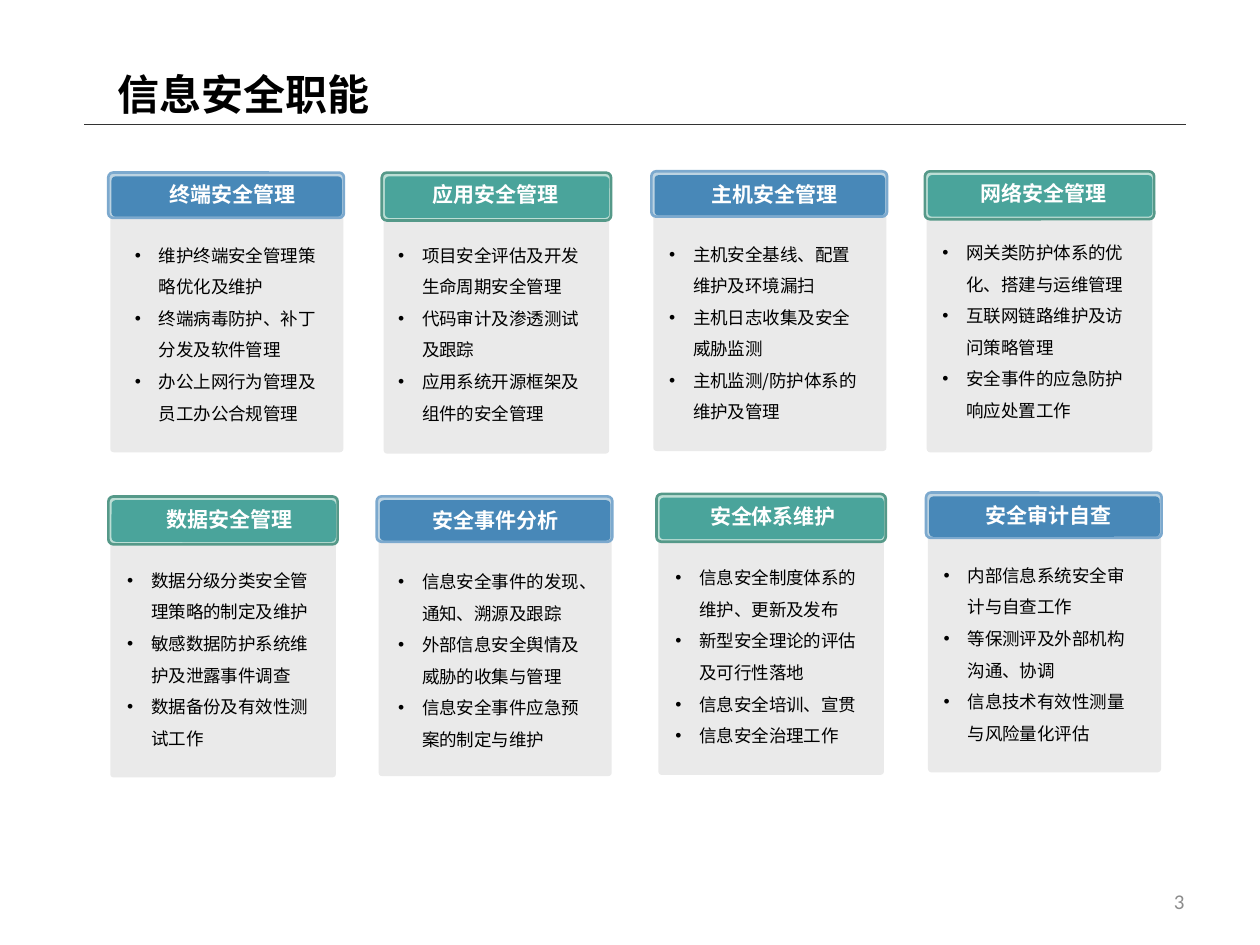
from lxml import etree
from pptx import Presentation, util as u
from pptx.dml.color import RGBColor
from pptx.enum import shapes, text
from pptx.oxml.ns import qn

COLORS = {
    "ink": "000000", "white": "FFFFFF", "rule": "333333", "number": "8C8C8C", "panel": "EAEAEA",
    "blue": "4888B8", "blue_rim": "BCD3E2", "blue_edge": "7CA9CE",
    "green": "4AA49B", "green_rim": "BCDED5", "green_edge": "559989",
}
SIZES = {
    "blue": {"panel": (18.5, 18.8), "rim": (18.7, 3.6), "face": (18.3, 3.2)},
    "green": {"panel": (17.9, 18.9), "rim": (18.2, 3.8), "face": (17.8, 3.3)},
}
COLUMNS, ROWS = 100, 75
HEAD_FONT = "Noto Sans CJK SC"


class Deck:
    def __init__(self):
        self.prs = Presentation()
        self.prs.slide_width, self.prs.slide_height = u.Inches(10), u.Inches(7.5)
        self.s = self.prs.slides.add_slide(self.prs.slide_layouts[5])

    def box(self, x, y, w, h):
        col, row = self.prs.slide_width / COLUMNS, self.prs.slide_height / ROWS
        return [u.Emu(round(n * unit)) for n, unit in ((x, col), (y, row), (w, col), (h, row))]

    def color(self, name):
        return RGBColor.from_string(COLORS[name])

    def run(self, p, words, size, color, bold=False, font=HEAD_FONT):
        r = p.add_run()
        r.text = words
        r.font.size, r.font.bold, r.font.name = u.Pt(size), bold, font
        r.font.color.rgb = self.color(color)
        etree.SubElement(r.font._element, qn("a:ea"), typeface=font)

    def frame(self, sp, anchor, insets=None):
        tf = sp.text_frame
        tf.word_wrap = True
        tf.auto_size = text.MSO_AUTO_SIZE.NONE
        tf.vertical_anchor = anchor
        if insets:
            tf.margin_left, tf.margin_top, tf.margin_right, tf.margin_bottom = map(u.Inches, insets)
        return tf

    def title(self, words, place):
        sp = self.s.shapes.title
        sp.left, sp.top, sp.width, sp.height = self.box(*place)
        p = self.frame(sp, text.MSO_ANCHOR.MIDDLE).paragraphs[0]
        p.alignment = text.PP_ALIGN.LEFT
        self.run(p, words, 24, "ink", True)

    def line(self, x1, y1, x2, y2):
        begin, end = self.box(x1, y1, 0, 0), self.box(x2, y2, 0, 0)
        c = self.s.shapes.add_connector(shapes.MSO_CONNECTOR.STRAIGHT, *begin[:2], *end[:2])
        c.line.color.rgb, c.line.width = self.color("rule"), u.Pt(0.75)
        etree.SubElement(c._element.spPr, qn("a:effectLst"))

    def rounded(self, place, radius, fill, edge=None):
        sp = self.s.shapes.add_shape(shapes.MSO_SHAPE.ROUNDED_RECTANGLE, *self.box(*place))
        sp.adjustments[0] = radius
        sp.shadow.inherit = False
        sp.fill.solid()
        sp.fill.fore_color.rgb = self.color(fill)
        if edge:
            sp.line.color.rgb, sp.line.width = self.color(edge), u.Pt(1.5)
        else:
            sp.line.fill.background()

    def label(self, words, place, size, color, align, bold=False, font=HEAD_FONT, insets=None):
        sp = self.s.shapes.add_textbox(*self.box(*place))
        p = self.frame(sp, text.MSO_ANCHOR.MIDDLE, insets).paragraphs[0]
        p.alignment = align
        self.run(p, words, size, color, bold, font)

    def bullets(self, items, place):
        sp = self.s.shapes.add_textbox(*self.box(*place))
        tf = self.frame(sp, text.MSO_ANCHOR.TOP, (0.06, 0.06, 0.06, 0.05))
        for i, item in enumerate(items):
            p = tf.add_paragraph() if i else tf.paragraphs[0]
            p.line_spacing = 1.5
            pPr = p._p.get_or_add_pPr()
            pPr.set("marL", str(u.Inches(0.19)))
            pPr.set("indent", str(-u.Inches(0.19)))
            etree.SubElement(pPr, qn("a:buFont"), typeface="Arial")
            etree.SubElement(pPr, qn("a:buChar"), char="•")
            self.run(p, item, 10, "ink")

    def card(self, tone, x, y, heading, center, drop, items, list_x, list_y):
        size = SIZES[tone]
        self.rounded((x + 0.15, y + 3.4, *size["panel"]), 0.015, "panel")
        self.rounded((x, y, *size["rim"]), 0.106, tone + "_rim", tone + "_edge")
        self.rounded((x + 0.25, y + 0.3, *size["face"]), 0.1, tone)
        self.label(heading, (center - 6.95, y + drop, 13.9, 2), 12, "white",
                   text.PP_ALIGN.CENTER, True, insets=(0, 0, 0, 0))
        self.bullets(items, (list_x, list_y, 16.5, 16.4))


CARDS = [
    ("blue", 8.6, 13.7, "终端安全管理", 18.45, 0.7,
     ["维护终端安全管理策略优化及维护", "终端病毒防护、补丁分发及软件管理", "办公上网行为管理及员工办公合规管理"], 10.1, 18),
    ("green", 30.3, 13.7, "应用安全管理", 39.35, 0.7,
     ["项目安全评估及开发生命周期安全管理", "代码审计及渗透测试及跟踪", "应用系统开源框架及组件的安全管理"], 31, 18),
    ("blue", 51.7, 13.6, "主机安全管理", 61.45, 0.8,
     ["主机安全基线、配置维护及环境漏扫", "主机日志收集及安全威胁监测", "主机监测/防护体系的维护及管理"], 52.5, 17.9),
    ("green", 73.4, 13.6, "网络安全管理", 82.8, 0.7,
     ["网关类防护体系的优化、搭建与运维管理", "互联网链路维护及访问策略管理", "安全事件的应急防护响应处置工作"], 74.2, 17.8),
    ("green", 8.6, 39.4, "数据安全管理", 18.25, 0.8,
     ["数据分级分类安全管理策略的制定及维护", "敏感数据防护系统维护及泄露事件调查", "数据备份及有效性测试工作"], 9.5, 43.8),
    ("blue", 29.9, 39.4, "安全事件分析", 39.35, 0.9,
     ["信息安全事件的发现、通知、溯源及跟踪", "外部信息安全舆情及威胁的收集与管理", "信息安全事件应急预案的制定与维护"], 31, 43.9),
    ("green", 52.1, 39.2, "安全体系维护", 61.35, 0.8,
     ["信息安全制度体系的维护、更新及发布", "新型安全理论的评估及可行性落地", "信息安全培训、宣贯", "信息安全治理工作"], 53, 43.6),
    ("blue", 73.5, 39.1, "安全审计自查", 83.25, 0.8,
     ["内部信息系统安全审计与自查工作", "等保测评及外部机构沟通、协调", "信息技术有效性测量与风险量化评估"], 74.3, 43.4),
]

deck = Deck()
deck.title("信息安全职能", (8.3, 4.9, 59.1, 5))
deck.line(6.7, 9.9, 94.1, 9.9)
for card in CARDS:
    deck.card(*card)
deck.label("3", (71.7, 69.5, 23.3, 4), 12, "number", text.PP_ALIGN.RIGHT, font="Calibri")
deck.prs.save("out.pptx")
